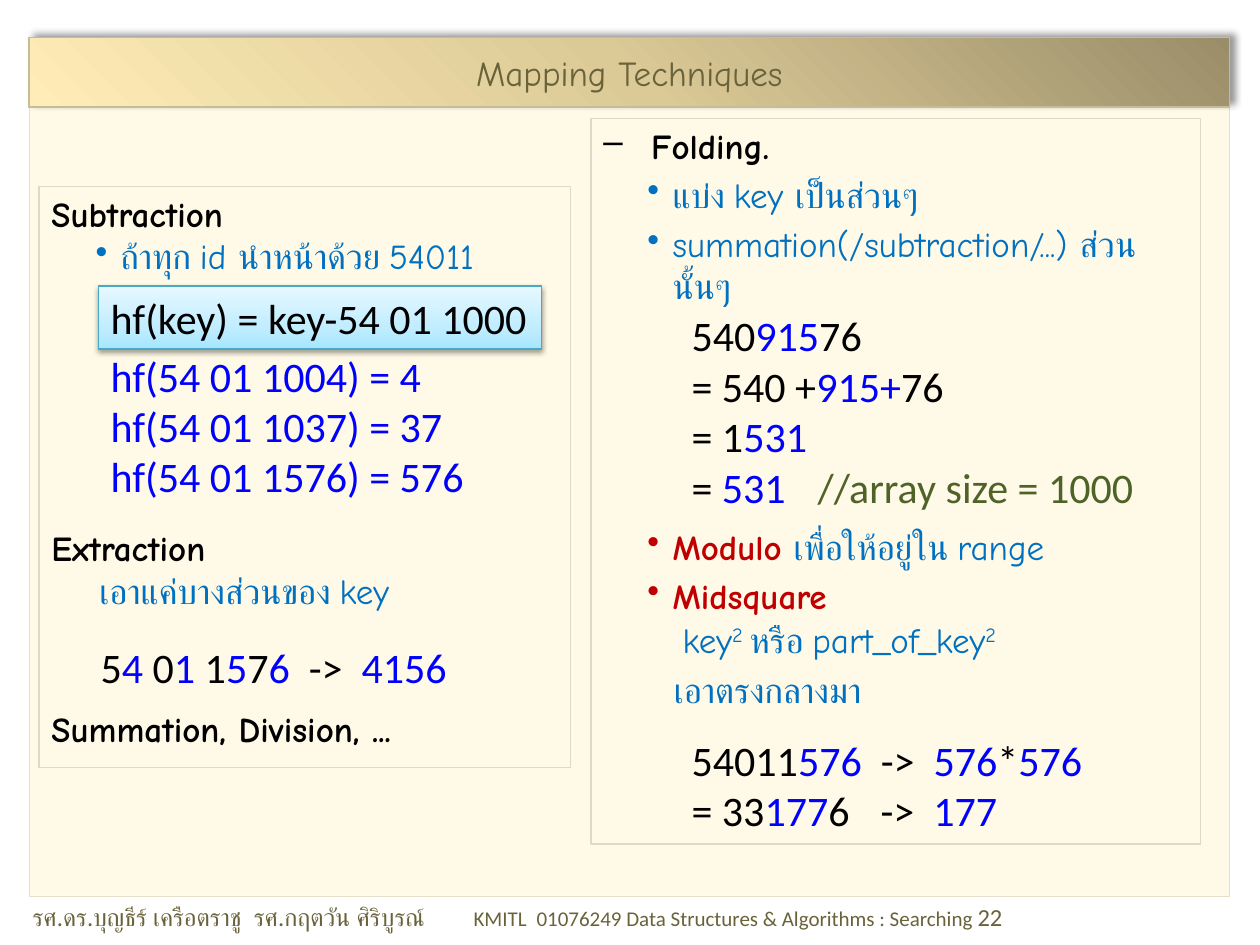
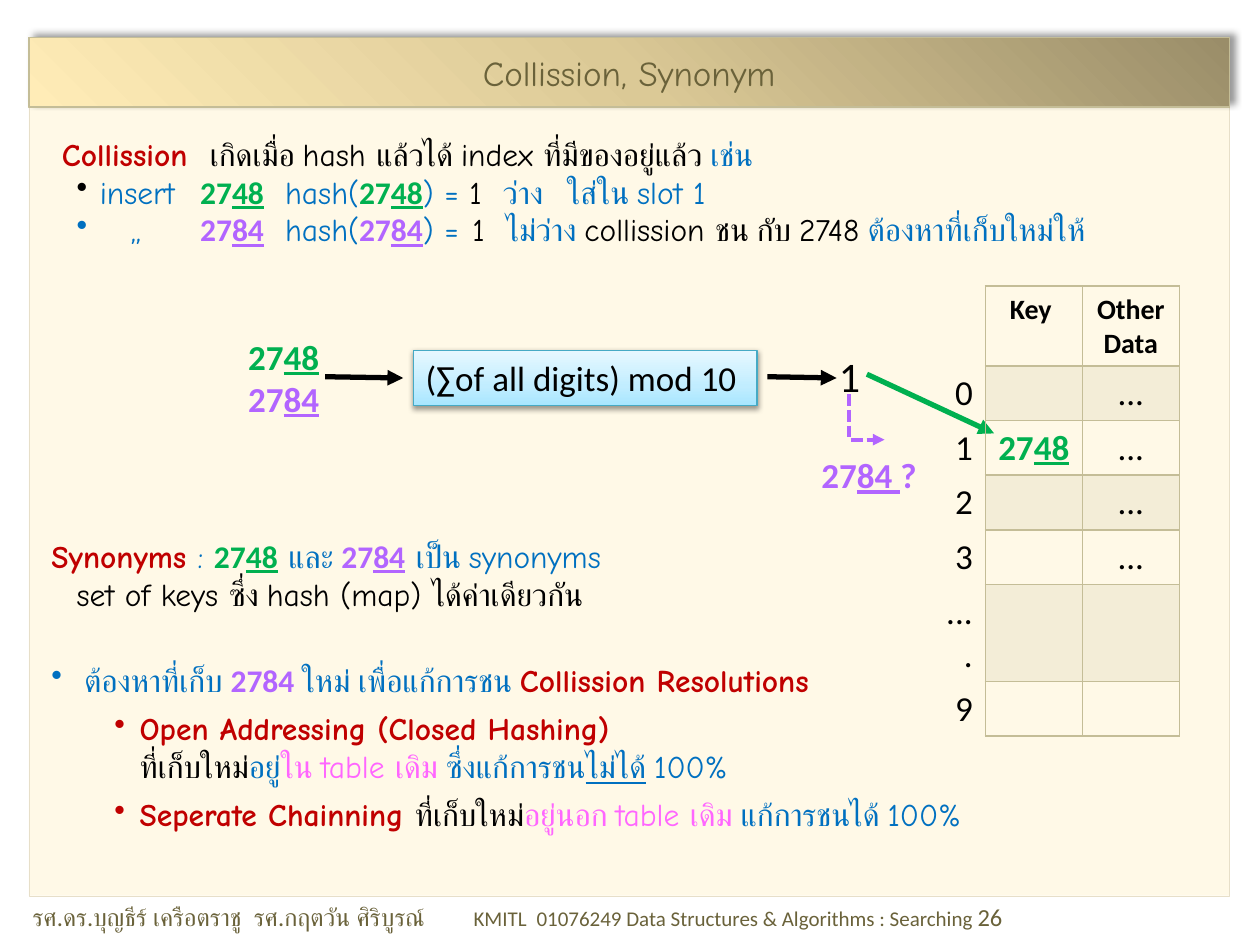
"""Build two lecture slides on hashing: mapping techniques and collisions."""
from dataclasses import dataclass

from lxml import etree
from pptx import Presentation
from pptx import util as u
from pptx.dml.color import RGBColor
from pptx.enum import dml, shapes, text
from pptx.oxml.ns import qn


@dataclass(frozen=True)
class Theme:
    """Colours, fonts and type sizes of the deck."""
    hand: str = "Comic Neue"
    plain: str = "Calibri"
    black: str = "000000"
    blue: str = "0070C0"
    digit: str = "0000FF"
    red: str = "C00000"
    pink: str = "FF66FF"
    green: str = "00B050"
    violet: str = "B265FF"
    olive: str = "4F6228"
    khaki: str = "6A623A"
    panel: str = "FFF9E7"
    panel_edge: str = "E7DFC9"
    frame: str = "DDD9C3"
    rule: str = "C4BD97"
    tint: str = "F3EDD7"
    formula_edge: str = "46AAC5"
    title_stops: tuple = ((0, "9A8D69"), (50, "DBC996"), (100, "FFECB7"))
    formula_stops: tuple = ((0, "A7E6FF"), (35, "C1EDFF"), (100, "E7F8FF"))
    title_shadow: tuple = (40, 4, 3, 315)
    formula_shadow: tuple = (38, 3.1, 1.6, 90)
    large: int = 24
    medium: int = 20
    body: int = 18
    head: int = 16
    foot: int = 14
    foot_small: int = 12


T = Theme()

STYLES = {
    "ink": dict(font=T.hand, color=T.black),
    "strong": dict(font=T.hand, color=T.black, bold=True),
    "blue": dict(font=T.hand, color=T.blue),
    "blue_": dict(font=T.hand, color=T.blue, underline=True),
    "sup": dict(font=T.hand, color=T.blue, baseline=30),
    "red": dict(font=T.hand, color=T.red, bold=True),
    "pink": dict(font=T.hand, color=T.pink),
    "title": dict(font=T.hand, color=T.khaki),
    "foot": dict(font=T.plain, color=T.khaki),
    "foot_small": dict(font=T.plain, color=T.khaki, size=T.foot_small),
    "code": dict(font=T.plain, color=T.black),
    "head": dict(font=T.plain, color=T.black, bold=True, size=T.head),
    "digit": dict(font=T.plain, color=T.digit),
    "note": dict(font=T.plain, color=T.olive),
    "green": dict(font=T.plain, color=T.green, bold=True),
    "green_": dict(font=T.plain, color=T.green, bold=True, underline=True),
    "violet": dict(font=T.plain, color=T.violet, bold=True),
    "violet_": dict(font=T.plain, color=T.violet, bold=True, underline=True),
}


def line(*spans, **layout):
    """Pair the styled spans of a paragraph with its layout."""
    return spans, layout


FIRST = (("green", "27"), ("green_", "48"))
SECOND = (("violet", "27"), ("violet_", "84"))
HEADING = dict(left=0.38, first=-0.38, before=4)
POINT = dict(left=0.55, first=-0.2, before=4, bullet="•")
CASE = dict(left=0.3, first=-0.1, bullet="•", tabs=(0.63, 1.18, 3.34, 6.48))
REMEDY = dict(left=0.7, first=-0.2, before=6, bullet="•")

FOOTER = "รศ.ดร.บุญธีร์ เครือตราชู  รศ.กฤตวัน ศิริบูรณ์"
COURSE = "\tKMITL\t01076249 Data Structures & Algorithms : Searching\t"
FOOTER_TABS = (3.49, 4.59, 8.97)

OTHER_METHODS = [
    line(("strong", "Subtraction"), **HEADING),
    line(("blue", "ถ้าทุก id นำหน้าด้วย 54011"), **{**POINT, "before": 0}),
    line(("strong", "Extraction \n"), ("blue", "เอาแค่บางส่วนของ key"), **{**HEADING, "before": 143}),
    line(("strong", "Summation, Division, ..."), **{**HEADING, "before": 55}),
]
SUBTRACTION = [line(("digit", f"hf(54 01 {key}) = {index}"))
               for key, index in (("1004", 4), ("1037", 37), ("1576", 576))]
EXTRACTION = [line(("code", "5"), ("digit", "4"), ("code", " 0"), ("digit", "1"), ("code", " 1"),
                   ("digit", "5"), ("code", "7"), ("digit", "6  "), ("code", "->  "), ("digit", "4156"))]
FOLDING = [
    line(("strong", "Folding."), **HEADING, bullet="–"),
    line(("blue", "แบ่ง key เป็นส่วนๆ"), **POINT),
    line(("blue", "summation(/subtraction/...) ส่วนนั้นๆ"), **POINT),
    line(("red", "Modulo"), ("blue", " เพื่อให้อยู่ใน range"), **{**POINT, "before": 125}),
    line(("red", "Midsquare"), **POINT),
    line(("blue", "key"), ("sup", "2 "), ("blue", "หรือ part_of_key"), ("sup", "2"), left=0.63, spacing=25),
    line(("blue", "เอาตรงกลางมา"), left=0.56, before=4, spacing=25),
]
FOLDING_STEPS = [
    line(("code", "540"), ("digit", "915"), ("code", "76")),
    line(("code", "= 540 +"), ("digit", "915+"), ("code", "76")),
    line(("code", "= 1"), ("digit", "531")),
    line(("code", "= "), ("digit", "531\t"), ("note", "//array size = 1000"), tabs=(1.13,)),
]
MIDSQUARE_STEPS = [
    line(("code", "54011"), ("digit", "576  "), ("code", "->  "), ("digit", "576"), ("code", "*"), ("digit", "576")),
    line(("code", "= 33"), ("digit", "177"), ("code", "6\t->  "), ("digit", "177"), tabs=(1.48,)),
]

COLLISION = [
    line(("ink", " "), ("red", "Collission  "), ("ink", "เกิดเมื่อ hash แล้วได้ index ที่มีของอยู่แล้ว "),
         ("blue", "เช่น")),
    line(("ink", " "), ("blue", "insert\t"), *FIRST, ("blue", "  hash("), *FIRST, ("blue", ") = "),
         ("ink", "1  "), ("blue", "ว่าง   ใส่ใน slot 1"), **{**CASE, "tabs": CASE["tabs"][1:]}),
    line(("blue", "\t,,\t"), *SECOND, ("blue", "  hash("), *SECOND, ("blue", ") =\t"), ("ink", "1  "),
         ("blue", "ไม่ว่าง "), ("ink", "collission ชน กับ 2748\t"), ("blue", "ต้องหาที่เก็บใหม่ให้"), **CASE),
    line(("red", "Synonyms "), ("blue", ": "), *FIRST, ("blue", " และ "), *SECOND, ("blue", " เป็น synonyms\n"),
         ("ink", "set of keys ซึ่ง hash (map) ได้ค่าเดียวกัน"), left=0.2, first=-0.2, before=165),
    line(("blue", " ต้องหาที่เก็บ "), ("violet", "2784 "), ("blue", "ใหม่ เพื่อแก้การชน "),
         ("red", "Collission Resolutions"), left=0.2, first=-0.2, before=27.5, bullet="•"),
    line(("red", "Open Addressing (Closed Hashing) \n"), ("ink", "ที่เก็บใหม่"), ("blue", "อยู่"),
         ("pink", "ใน table เดิม "), ("blue", "ซึ่งแก้การชน"), ("blue_", "ไม่ได้"), ("blue", " 100%"), **REMEDY),
    line(("red", "Seperate Chainning "), ("ink", "ที่เก็บใหม่"), ("pink", "อยู่นอก table เดิม "),
         ("blue", "แก้การชนได้ 100%"), **REMEDY),
]
DOTS = (("code", "..."),)
SLOTS = [
    (0.63, "", (("head", "Key "),), (("head", "Other Data"),)),
    (0.43, "0", (), DOTS),
    (0.43, "1", FIRST, DOTS),
    (0.43, "2", (), DOTS),
    (0.43, "3", (), DOTS),
    (0.77, "....", (), ()),
    (0.43, "9", (), ()),
]
SLOT_COLUMNS = (0.43, 0.77, 0.77)
ARROWS = [
    ((2.58, 2.99), (3.2, 3), T.black),
    ((6.09, 2.99), (6.64, 3), T.black),
    ((6.88, 2.97), (7.89, 3.44), T.green),
]
DETOUR = [(6.74, 3.13), (6.74, 3.49), (7.02, 3.49)]


def inches(*lengths):
    """Convert lengths in inches."""
    return [u.Inches(length) for length in lengths]


def add_element(parent, tag, **attributes):
    """Append a DrawingML element."""
    return etree.SubElement(parent, qn(tag), {key: str(value) for key, value in attributes.items()})


def add_span(para, style, words, size):
    """Add one styled span, turning newlines into line breaks."""
    look = STYLES[style]
    for number, part in enumerate(words.split("\n")):
        if number:
            para.add_line_break()
        if part:
            span = para.add_run()
            span.text = part
            font = span.font
            font.name, font.size = look["font"], u.Pt(look.get("size", size))
            font.bold, font.underline = look.get("bold", False), look.get("underline", False)
            font.color.rgb = RGBColor.from_string(look["color"])
            if "baseline" in look:
                font._element.set("baseline", str(look["baseline"] * 1000))


def write(frame, lines, size, align=text.PP_ALIGN.LEFT):
    """Fill a text frame with paragraphs."""
    frame.word_wrap = True
    for number, (spans, layout) in enumerate(lines):
        para = frame.add_paragraph() if number else frame.paragraphs[0]
        para.alignment = align
        para.space_before = u.Pt(layout.get("before", 0))
        if "spacing" in layout:
            para.line_spacing = u.Pt(layout["spacing"])
        properties = para._p.get_or_add_pPr()
        properties.set("marL", str(u.Inches(layout.get("left", 0))))
        properties.set("indent", str(u.Inches(layout.get("first", 0))))
        if "bullet" in layout:
            add_element(properties, "a:buChar", char=layout["bullet"])
        else:
            add_element(properties, "a:buNone")
        if "tabs" in layout:
            stops = add_element(properties, "a:tabLst")
            for stop in layout["tabs"]:
                add_element(stops, "a:tab", pos=u.Inches(stop), algn="l")
        for style, words in spans:
            add_span(para, style, words, size)


def add_text(page, at, lines, size, edge=None):
    """Add a text box, framed when an edge colour is given."""
    box = page.shapes.add_textbox(*inches(*at))
    write(box.text_frame, lines, size)
    if edge:
        outline(box, edge, 0.75)


def outline(shape, color, width):
    """Set the line of a shape or connector."""
    shape.line.color.rgb = RGBColor.from_string(color)
    shape.line.width = u.Pt(width)


def shade(shape, stops, angle, shadow):
    """Give a shape a gradient fill and an outer shadow."""
    shape.fill.gradient()
    shape.fill.gradient_angle = angle
    stop_list = shape._element.spPr.find(".//" + qn("a:gsLst"))
    for stop in list(stop_list):
        stop_list.remove(stop)
    for place, color in stops:
        add_element(add_element(stop_list, "a:gs", pos=place * 1000), "a:srgbClr", val=color)
    shape.shadow.inherit = False
    alpha, blur, distance, direction = shadow
    outer = add_element(shape._element.spPr.find(qn("a:effectLst")), "a:outerShdw", blurRad=u.Pt(blur),
                        dist=u.Pt(distance), dir=direction * 60000, algn="ctr", rotWithShape=0)
    add_element(add_element(outer, "a:srgbClr", val=T.black), "a:alpha", val=alpha * 1000)


def add_formula(page, at, words, size):
    """Add a blue formula box."""
    box = page.shapes.add_shape(shapes.MSO_SHAPE.RECTANGLE, *inches(*at))
    shade(box, T.formula_stops, 90, T.formula_shadow)
    outline(box, T.formula_edge, 0.75)
    write(box.text_frame, [line(("code", words))], size)


def add_page(deck, title, number):
    """Add a slide with its panel, title band and footer."""
    page = deck.slides.add_slide(deck.slide_layouts[5])
    panel = page.shapes.add_shape(shapes.MSO_SHAPE.RECTANGLE, *inches(0.23, 0.85, 9.53, 6.26))
    panel.shadow.inherit = False
    panel.fill.solid()
    panel.fill.fore_color.rgb = RGBColor.from_string(T.panel)
    outline(panel, T.panel_edge, 0.25)
    add_text(page, (0.16, 7.11, 9.69, 0.34),
             [line(("foot", FOOTER), ("foot_small", COURSE), ("foot", number), tabs=FOOTER_TABS)], T.foot)
    band = page.shapes.title
    page.shapes._spTree.append(band._element)
    band.left, band.top, band.width, band.height = inches(0.23, 0.3, 9.53, 0.55)
    shade(band, T.title_stops, 225, T.title_shadow)
    outline(band, T.rule, 0.75)
    band.text_frame.auto_size = text.MSO_AUTO_SIZE.NONE
    band.text_frame.vertical_anchor = text.MSO_ANCHOR.MIDDLE
    write(band.text_frame, [line(("title", title))], T.medium, text.PP_ALIGN.CENTER)
    return page


def add_slots(page):
    """Add the hash table with its slot numbers."""
    heights = [slot[0] for slot in SLOTS]
    table = page.shapes.add_table(len(SLOTS), len(SLOT_COLUMNS),
                                  *inches(7.39, 2.27, sum(SLOT_COLUMNS), sum(heights))).table
    table.first_row = table.horz_banding = False
    table._tbl.tblPr.find(qn("a:tableStyleId")).text = "{2D5ABB26-0587-4C30-8999-92F81FD0307C}"
    for column, width in zip(table.columns, SLOT_COLUMNS):
        column.width = u.Inches(width)
    for row, (height, label, key, data) in enumerate(SLOTS):
        table.rows[row].height = u.Inches(height)
        for column, spans in enumerate(((("code", label),), key, data)):
            cell = table.cell(row, column)
            write(cell.text_frame, [line(*spans)], T.medium,
                  text.PP_ALIGN.CENTER if column else text.PP_ALIGN.RIGHT)
            properties = cell._tc.get_or_add_tcPr()
            for side in ("LRTB" if column else "R"):
                border = add_element(properties, f"a:ln{side}", w=u.Pt(1))
                add_element(add_element(border, "a:solidFill"), "a:srgbClr", val=T.rule)
            if column and row % 2:
                cell.fill.solid()
                cell.fill.fore_color.rgb = RGBColor.from_string(T.tint)
            else:
                cell.fill.background()


def add_arrows(page):
    """Add the straight arrows and the dashed detour."""
    for start, end, color in ARROWS:
        arrow = page.shapes.add_connector(shapes.MSO_CONNECTOR.STRAIGHT, *inches(*start, *end))
        outline(arrow, color, 3)
        add_element(arrow.get_or_add_ln(), "a:tailEnd", type="triangle")
        add_element(arrow._element.spPr, "a:effectLst")
    points = [inches(*point) for point in DETOUR]
    builder = page.shapes.build_freeform(*points[0])
    builder.add_line_segments(points[1:], close=False)
    detour = builder.convert_to_shape()
    detour.fill.background()
    detour.shadow.inherit = False
    outline(detour, T.violet, 2.25)
    detour.line.dash_style = dml.MSO_LINE.SQUARE_DOT
    add_element(detour.get_or_add_ln(), "a:tailEnd", type="triangle")


def main():
    """Build and save the deck."""
    deck = Presentation()
    deck.slide_width, deck.slide_height = inches(10, 7.5)

    page = add_page(deck, "Mapping Techniques", "22")
    add_text(page, (0.31, 1.48, 4.22, 4.61), OTHER_METHODS, T.medium, T.frame)
    add_formula(page, (0.78, 2.27, 3.52, 0.5), "hf(key) = key-54 01 1000", T.large)
    add_text(page, (0.78, 2.73, 3.2, 1.31), SUBTRACTION, T.large)
    add_text(page, (0.7, 5.04, 3.2, 0.5), EXTRACTION, T.large)
    add_text(page, (4.69, 0.94, 4.84, 5.76), FOLDING, T.medium, T.frame)
    add_text(page, (5.39, 5.78, 3.59, 0.88), MIDSQUARE_STEPS, T.large)
    add_text(page, (5.39, 2.41, 3.98, 1.65), FOLDING_STEPS, T.large)

    page = add_page(deck, "Collission, Synonym", "26")
    add_text(page, (0.31, 1.02, 9.45, 6.09), COLLISION, T.body)
    add_text(page, (6.42, 3.55, 1.01, 0.44), [line(("violet", "27"), ("violet_", "84 "), ("violet", "?"))], T.medium)
    add_formula(page, (3.28, 2.78, 2.73, 0.44), "(∑of all digits) mod 10", T.medium)
    add_text(page, (6.56, 2.73, 0.55, 0.5), [line(("code", "1"))], T.large)
    add_text(page, (1.87, 2.61, 0.78, 0.77), [line(*FIRST), line(*SECOND)], T.medium)
    add_arrows(page)
    add_slots(page)
    deck.save("out.pptx")


if __name__ == "__main__":
    main()
